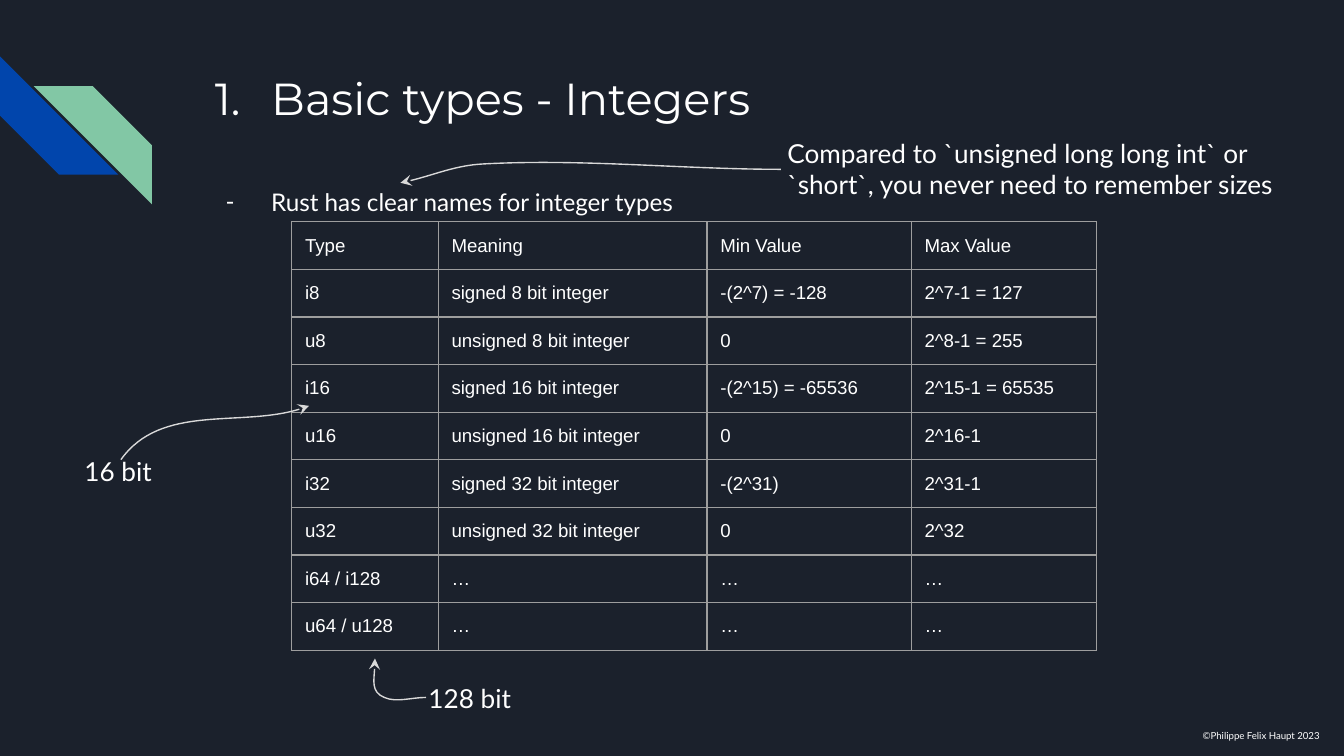
from lxml import etree
from pptx import Presentation
from pptx.dml.color import RGBColor
from pptx.enum import shapes, text
from pptx.oxml import ns
from pptx.util import Inches, Pt

WHITE = "FFFFFF"
GREY = "9E9E9E"
PALE = "D9D9D9"

ROWS = [
    ("Type", "Meaning", "Min Value", "Max Value"),
    ("i8", "signed 8 bit integer", "-(2^7) = -128", "2^7-1 = 127"),
    ("u8", "unsigned 8 bit integer", "0", "2^8-1 = 255"),
    ("i16", "signed 16 bit integer", "-(2^15) = -65536", "2^15-1 = 65535"),
    ("u16", "unsigned 16 bit integer", "0", "2^16-1"),
    ("i32", "signed 32 bit integer", "-(2^31)", "2^31-1"),
    ("u32", "unsigned 32 bit integer", "0", "2^32"),
    ("i64 / i128", "…", "…", "…"),
    ("u64 / u128", "…", "…", "…"),
]
WIDTHS = (1.09, 2, 1.52, 1.38)


def color(code):
    return RGBColor.from_string(code)


def sub(parent, tag, **attrs):
    return etree.SubElement(parent, ns.qn(tag), **attrs)


def pad(item, bottom=0.1):
    """Set the inner margins of a text frame or a table cell."""
    item.margin_left = item.margin_right = item.margin_top = Inches(0.1)
    item.margin_bottom = Inches(bottom)


def style(frame, size, font):
    for para in frame.paragraphs:
        for run in para.runs:
            run.font.size = Pt(size)
            run.font.name = font
            run.font.color.rgb = color(WHITE)


def label(slide, box, words, size, font="Lato"):
    frame = slide.shapes.add_textbox(*map(Inches, box)).text_frame
    frame.text = words
    frame.word_wrap = True
    pad(frame)
    style(frame, size, font)
    return frame


def bullet(para, hang, tag, font, **attrs):
    props = para._p.get_or_add_pPr()
    props.set("marL", str(Inches(0.5)))
    props.set("indent", str(-Inches(hang)))
    sub(sub(props, "a:buClr"), "a:srgbClr", val=WHITE)
    sub(props, "a:buFont", typeface=font)
    sub(props, tag, **attrs)


def stripe(slide, left, top, fill):
    shape = slide.shapes.add_shape(
        shapes.MSO_SHAPE.DIAGONAL_STRIPE,
        Inches(left), Inches(top), Inches(0.88), Inches(0.88))
    shape.shadow.inherit = False
    shape.fill.solid()
    shape.fill.fore_color.rgb = color(fill)
    shape.line.fill.background()
    return shape


def curve(slide, start, *points):
    """Draw Bezier segments, three points each, with an arrowhead at start."""
    pen = slide.shapes.build_freeform(*map(Inches, start))
    pen.add_line_segments(
        [(Inches(x), Inches(y)) for x, y in points], close=False)
    shape = pen.convert_to_shape()
    # Turn each three line steps into one cubic segment
    steps = list(shape._element.iter(ns.qn("a:lnTo")))
    for i in range(0, len(steps), 3):
        first = steps[i]
        first.tag = ns.qn("a:cubicBezTo")
        for step in steps[i + 1:i + 3]:
            first.append(step[0])
            step.getparent().remove(step)
    shape.shadow.inherit = False
    shape.fill.background()
    shape.line.color.rgb = color(PALE)
    shape.line.width = Pt(0.75)
    sub(shape.line._get_or_add_ln(), "a:headEnd", type="stealth")


def border(cell):
    props = cell._tc.get_or_add_tcPr()
    for side in "LRTB":
        line = sub(props, "a:ln" + side, w=str(Pt(0.75)))
        sub(sub(line, "a:solidFill"), "a:srgbClr", val=GREY)


def grid(slide, left, top, high):
    table = slide.shapes.add_table(
        len(ROWS), len(WIDTHS), Inches(left), Inches(top),
        Inches(sum(WIDTHS)), Inches(high)).table
    table.first_row = False
    table.horz_banding = False
    for col, width in zip(table.columns, WIDTHS):
        col.width = Inches(width)
    for row, words in zip(table.rows, ROWS):
        row.height = Inches(high / len(ROWS))
        for cell, word in zip(row.cells, words):
            cell.text_frame.text = word
            style(cell.text_frame, 10, "Arial")
            pad(cell, 0.08)
            border(cell)
            cell.fill.background()


def main():
    deck = Presentation()
    deck.slide_width, deck.slide_height = Inches(10), Inches(10 * 9 / 16)
    slide = deck.slides.add_slide(deck.slide_layouts[6])
    slide.background.fill.solid()
    slide.background.fill.fore_color.rgb = color("1B212C")

    # Corner stripes
    stripe(slide, 0, 0.42, "0145AC").rotation = 270
    green = stripe(slide, 0.25, 0.64, "82C7A5")
    green._element.spPr.xfrm.set("flipH", "1")

    # Title, body and footer
    title = label(slide, (1.42, 0.43, 7.7, 1), "Basic types - Integers",
                  24, "Montserrat")
    bullet(title.paragraphs[0], 0.42, "a:buAutoNum", "Montserrat",
           type="arabicPeriod")
    body = label(slide, (1.42, 1.26, 7.7, 3.18),
                 "Rust has clear names for integer types", 13)
    body.paragraphs[0].line_spacing = 1.15
    bullet(body.paragraphs[0], 0.34, "a:buChar", "Lato", char="-")
    foot = label(slide, (8.85, 5.34, 1.15, 0.28),
                 "©Philippe Felix Haupt 2023", 5.2)
    foot.vertical_anchor = text.MSO_ANCHOR.MIDDLE
    foot.paragraphs[0].line_spacing = 0.9
    foot.paragraphs[0].space_after = Pt(12)

    # Integer types
    grid(slide, 2.17, 1.65, 3.19)

    # Notes with curved arrows
    curve(slide, (2.98, 1.36), (3.19, 1.32), (3.39, 1.23), (3.6, 1.22),
          (4.34, 1.18), (5.08, 1.26), (5.81, 1.26))
    label(slide, (5.76, 0.92, 3.89, 0.85),
          "Compared to `unsigned long long int` or `short`, "
          "you never need to remember sizes", 14)
    curve(slide, (2.3, 3.02), (1.85, 3.2), (1.2, 3), (0.9, 3.42))
    curve(slide, (2.79, 4.9), (2.79, 5), (2.76, 5.15), (2.86, 5.19),
          (2.95, 5.23), (3.06, 5.19), (3.17, 5.19))
    for left, top, words in ((0.53, 3.29, "16 bit"), (3.09, 4.98, "128 bit")):
        note = label(slide, (left, top, 3.37, 0.44), words, 14)
        note.auto_size = text.MSO_AUTO_SIZE.SHAPE_TO_FIT_TEXT

    deck.save("out.pptx")


if __name__ == "__main__":
    main()
